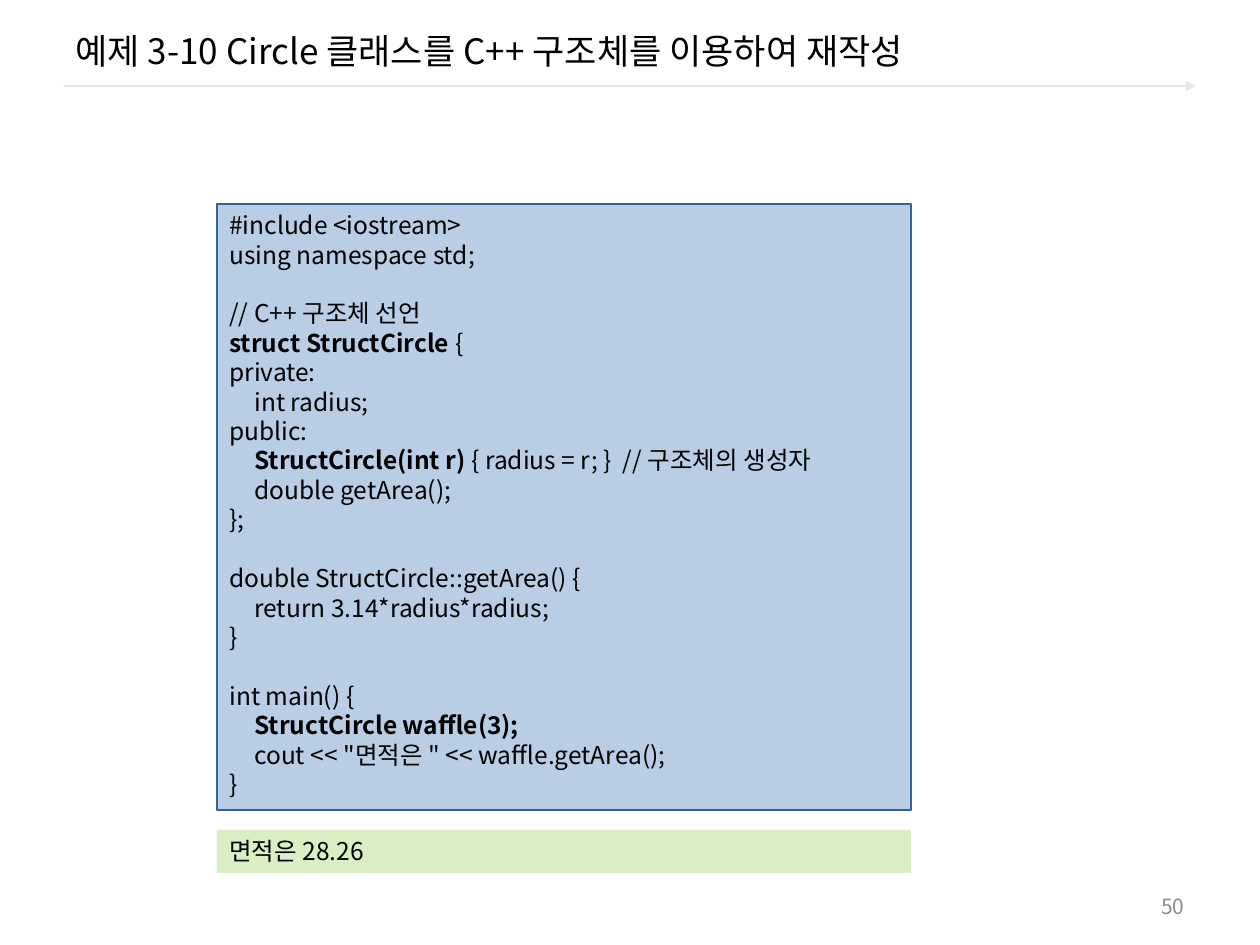
from dataclasses import dataclass

from lxml import etree
from pptx import Presentation
from pptx.dml.color import RGBColor
from pptx.enum.shapes import MSO_CONNECTOR, MSO_SHAPE
from pptx.enum.text import MSO_ANCHOR, PP_ALIGN
from pptx.oxml.ns import qn
from pptx.util import Emu, Pt

PX = 914400 // 126
STRAIGHT = MSO_CONNECTOR.STRAIGHT
RECT = MSO_SHAPE.RECTANGLE
TOP, MIDDLE = MSO_ANCHOR.TOP, MSO_ANCHOR.MIDDLE
LEFT, RIGHT = PP_ALIGN.LEFT, PP_ALIGN.RIGHT


@dataclass(frozen=True)
class Theme:
    font: str = "Noto Sans CJK KR"
    text: str = "000000"
    muted: str = "8C8C8C"
    rule: str = "E6E6E6"
    code_fill: str = "B9CDE5"
    code_line: str = "376092"
    output_fill: str = "DAEEC4"
    title_size: int = 20
    body_size: int = 14
    number_size: int = 12


THEME = Theme()

# Each line is a list of (text, bold) runs.
CODE = [
    [("#include <iostream>", False)],
    [("using namespace std;", False)],
    [],
    [("// C++ 구조체 선언", False)],
    [("struct StructCircle ", True), ("{", False)],
    [("private:", False)],
    [("\tint radius;", False)],
    [("public:", False)],
    [("\t", False), ("StructCircle(int r)", True),
     (" { radius = r; }  // 구조체의 생성자", False)],
    [("\tdouble getArea();", False)],
    [("};", False)],
    [],
    [("double StructCircle::getArea() {", False)],
    [("\treturn 3.14*radius*radius;", False)],
    [("}", False)],
    [],
    [("int main() {", False)],
    [("\t", False), ("StructCircle waffle(3);", True)],
    [("\tcout << \"면적은 \" << waffle.getArea();", False)],
    [("}", False)],
]


def px(n):
    return Emu(n * PX)


def rgb(color):
    return RGBColor.from_string(color)


def set_font(font, size, color, bold=False):
    font.name, font.size, font.bold = THEME.font, Pt(size), bold
    font.color.rgb = rgb(color)


def write(sp, lines, size, color=THEME.text, anchor=TOP, align=LEFT, tab=None):
    """Fill a shape with lines of (text, bold) runs; tab is the stop in px."""
    tf = sp.text_frame
    tf.word_wrap = True
    tf.vertical_anchor = anchor
    for i, runs in enumerate(lines):
        p = tf.add_paragraph() if i else tf.paragraphs[0]
        p.alignment = align
        if tab:
            tabs = etree.SubElement(p._p.get_or_add_pPr(), qn("a:tabLst"))
            etree.SubElement(tabs, qn("a:tab"), pos=str(px(tab)), algn="l")
        if not runs:
            p.font.size = Pt(size)
        for text, bold in runs:
            r = p.add_run()
            r.text = text
            set_font(r.font, size, color, bold)
            etree.SubElement(r._r.get_or_add_rPr(), qn("a:ea"), typeface=THEME.font)


def add_label(s, box, text, size, color, align=LEFT):
    sp = s.shapes.add_textbox(*map(px, box))
    write(sp, [[(text, False)]], size, color, MIDDLE, align)


def add_panel(s, box, fill, line=None):
    sp = s.shapes.add_shape(RECT, *map(px, box))
    sp.shadow.inherit = False
    sp.fill.solid()
    sp.fill.fore_color.rgb = rgb(fill)
    if line:
        sp.line.color.rgb = rgb(line)
        sp.line.width = Pt(0.75)
    else:
        sp.line.fill.background()
    return sp


def add_header(s, box, title):
    """Title with an arrow rule just below it."""
    x, y, w, h = box
    add_label(s, box, title, THEME.title_size, THEME.text)
    rule_y = px(y + h - 5)
    rule = s.shapes.add_connector(STRAIGHT, px(x + 1), rule_y, px(x + w - 1), rule_y)
    rule.line.color.rgb = rgb(THEME.rule)
    rule.line.width = Pt(1.5)
    etree.SubElement(rule.line._get_or_add_ln(), qn("a:tailEnd"), type="triangle")
    etree.SubElement(rule._element.spPr, qn("a:effectLst"))


def add_listing(s, box, code, output):
    """Code panel with the program's output strip at the foot of the box."""
    x, y, w, h = box
    output_h, gap = 43, 20
    panel = add_panel(s, (x, y, w, h - output_h - gap),
                      THEME.code_fill, THEME.code_line)
    write(panel, code, THEME.body_size, tab=25)
    strip = add_panel(s, (x, y + h - output_h, w, output_h), THEME.output_fill)
    write(strip, [[(output, False)]], THEME.body_size)


def main():
    prs = Presentation()
    prs.slide_width, prs.slide_height = px(1260), px(945)
    s = prs.slides.add_slide(prs.slide_layouts[6])
    add_header(s, (63, 10, 1134, 81),
               "예제 3-10 Circle 클래스를 C++ 구조체를 이용하여 재작성")
    add_label(s, (903, 886, 294, 40), "50", THEME.number_size, THEME.muted, RIGHT)
    add_listing(s, (217, 204, 694, 669), CODE, "면적은 28.26")
    prs.save("out.pptx")


if __name__ == "__main__":
    main()
